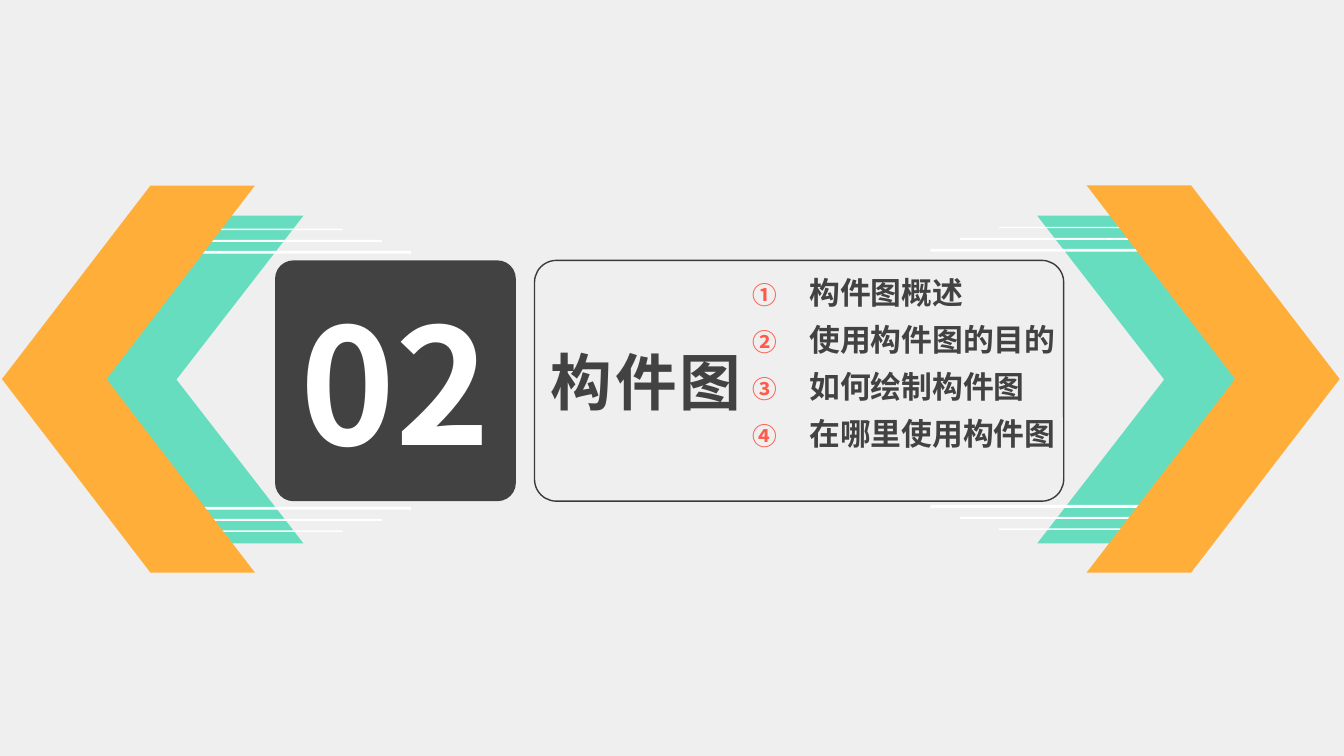
from pptx import Presentation
from pptx.dml.color import RGBColor
from pptx.enum.shapes import MSO_SHAPE
from pptx.enum.text import MSO_ANCHOR, MSO_AUTO_SIZE, PP_ALIGN
from pptx.oxml.ns import qn
from pptx.util import Pt
from lxml.etree import SubElement

FONT = "Noto Sans CJK SC"
PALE = RGBColor(0xEF, 0xEF, 0xEF)
DARK = RGBColor(0x42, 0x42, 0x42)
EDGE = RGBColor(0x3A, 0x3A, 0x3A)
WHITE = RGBColor(0xFF, 0xFF, 0xFF)
GREEN = RGBColor(0x66, 0xDD, 0xBE)
GOLD = RGBColor(0xFF, 0xAE, 0x39)
RED = RGBColor(0xFF, 0x5B, 0x4A)


def add_shape(kind, x, y, w, h, fill=None, line=None, adj=None, turn=0):
    item = slide.shapes.add_shape(kind, Pt(x), Pt(y), Pt(w), Pt(h))
    item.shadow.inherit = False
    item.rotation = turn
    if adj is not None:
        item.adjustments[0] = adj
    if fill is None:
        item.fill.background()
    else:
        item.fill.solid()
        item.fill.fore_color.rgb = fill
    if line is None:
        item.line.fill.background()
    else:
        item.line.color.rgb = line
        item.line.width = Pt(1)
    return item


def write(para, text, size, color=DARK, align=PP_ALIGN.LEFT, track=0):
    para.alignment = align
    run = para.add_run()
    run.text = text
    font = run.font
    font.name, font.size, font.bold = FONT, Pt(size), True
    font.color.rgb = color
    props = run._r.get_or_add_rPr()
    SubElement(props, qn("a:ea")).set("typeface", FONT)
    if track:
        props.set("spc", str(track * 100))


deck = Presentation()
deck.slide_width, deck.slide_height = Pt(960), Pt(540)
slide = deck.slides.add_slide(deck.slide_layouts[5])
slide.background.fill.solid()
slide.background.fill.fore_color.rgb = PALE

# Section number
badge = add_shape(MSO_SHAPE.ROUNDED_RECTANGLE, 196.5, 186, 172, 172,
                  fill=DARK, adj=0.076)
frame = badge.text_frame
frame.margin_left = frame.margin_right = frame.margin_top = frame.margin_bottom = 0
frame.vertical_anchor = MSO_ANCHOR.MIDDLE
write(frame.paragraphs[0], "02", 115, color=WHITE, align=PP_ALIGN.CENTER)

# Framed section title
add_shape(MSO_SHAPE.ROUNDED_RECTANGLE, 381.8, 186, 378, 172, line=EDGE, adj=0.091)
title = slide.shapes.title
title.left, title.top, title.width, title.height = Pt(381.8), Pt(186), Pt(378), Pt(172)
frame = title.text_frame
frame.auto_size = MSO_AUTO_SIZE.NONE
frame.margin_left = Pt(11.7)
frame.vertical_anchor = MSO_ANCHOR.MIDDLE
write(frame.paragraphs[0], "构件图", 44, track=2)

# Numbered topics
topics = ["构件图概述", "使用构件图的目的", "如何绘制构件图", "在哪里使用构件图"]
frame = slide.shapes.add_textbox(Pt(530.6), Pt(195), Pt(232.6), Pt(156)).text_frame
frame.word_wrap = True
for i, topic in enumerate(topics):
    para = frame.paragraphs[0] if i == 0 else frame.add_paragraph()
    para.line_spacing = 0.9
    para.space_after = Pt(9.9)
    props = para._p.get_or_add_pPr()
    props.set("marL", str(Pt(40.5)))
    props.set("indent", str(-Pt(40.5)))
    tint = SubElement(props, qn("a:buClr"))
    SubElement(tint, qn("a:srgbClr")).set("val", str(RED))
    SubElement(props, qn("a:buSzPct")).set("val", "80000")
    SubElement(props, qn("a:buFont")).set("typeface", "+mj-lt")
    SubElement(props, qn("a:buAutoNum")).set("type", "circleNumDbPlain")
    write(para, topic, 22)

# Arrows on both sides: green chevron, white stripes, gold chevron
stripes = [(167, 2, 177.8, 360.7), (146, 1.5, 169.9, 369.2), (118, 1, 162, 377.5)]
sides = [(740.9, 776.2, 0, 0), (35.3, 1.4, 180, 1.4)]
for green, gold, turn, drop in sides:
    add_shape(MSO_SHAPE.CHEVRON, green, 154.1, 181.4, 234, fill=GREEN, turn=turn)
    for wide, thick, *tops in stripes:
        left = 126.7 if turn else 831.6 - wide
        for top in tops:
            add_shape(MSO_SHAPE.RECTANGLE, left, top + drop, wide, thick, fill=WHITE)
    add_shape(MSO_SHAPE.CHEVRON, gold, 132.5, 180.7, 276.5,
              fill=GOLD, adj=0.587, turn=turn)

deck.save("out.pptx")
